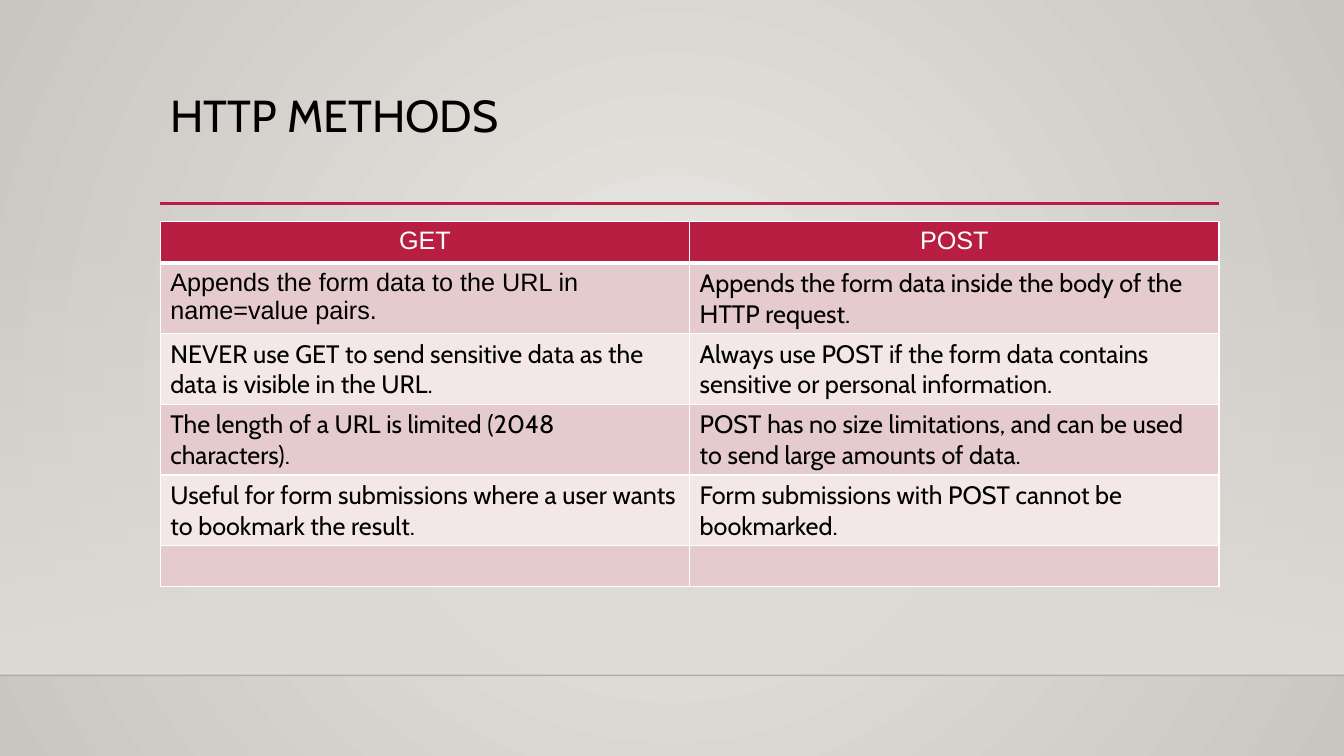
from dataclasses import dataclass

from pptx import Presentation
from pptx.dml.color import RGBColor as Color
from pptx.dml.fill import FillFormat
from pptx.enum.shapes import MSO_CONNECTOR as Connector, MSO_SHAPE as Preset
from pptx.enum.text import MSO_ANCHOR as Anchor, PP_ALIGN as Align
from pptx.oxml import parse_xml
from pptx.oxml.ns import nsdecls, qn
from pptx.slide import Slide
from pptx.table import _Cell as Cell
from pptx.text.text import _Paragraph as Paragraph
from pptx.util import Cm, Pt


@dataclass(frozen=True)
class Theme:
    accent: str = "B71E42"
    band_dark: str = "E5CBCD"
    band_light: str = "F3E7E8"
    ink: str = "000000"
    paper: str = "FFFFFF"
    glow: str = "EBE9E6"
    edge: str = "C9C5C0"
    floor: str = "DFDBD5"
    shelf: str = "000001"
    display: str = "Cabin"
    plain: str = "Arial"
    title_size: float = 32
    body_size: float = 18


@dataclass(frozen=True)
class Rule:
    left: float
    right: float
    top: float
    color: str
    width: float
    opacity: int = 100


@dataclass(frozen=True)
class MethodRow:
    get: str
    post: str
    get_font: str
    post_font: str


THEME = Theme()
WIDTH, HEIGHT = 33.87, 19.05
LEFT, TABLE_TOP, COLUMN, ROW = 4.04, 5.59, 13.34, 1.04
FLOOR_TOP, SHELF_TOP = 5.61, 17.02

RULES = (
    Rule(0, WIDTH, SHELF_TOP, THEME.shelf, 1, 20),
    Rule(LEFT, 30.73, 5.13, THEME.accent, 2.5),
)
ROWS = (
    MethodRow("GET", "POST", THEME.plain, THEME.plain),
    MethodRow("Appends the form data to the URL in name=value pairs.",
              "Appends the form data inside the body of the HTTP request.",
              THEME.plain, THEME.display),
    MethodRow("NEVER use GET to send sensitive data as the data is visible in the URL.",
              "Always use POST if the form data contains sensitive or personal information.",
              THEME.display, THEME.display),
    MethodRow("The length of a URL is limited (2048 characters).",
              "POST has no size limitations, and can be used to send large amounts of data.",
              THEME.display, THEME.display),
    MethodRow("Useful for form submissions where a user wants to bookmark the result.",
              "Form submissions with POST cannot be bookmarked.",
              THEME.display, THEME.display),
    MethodRow("", "", THEME.display, THEME.display),
)


def add_run(paragraph: Paragraph, text: str, font: str, size: float, color: str) -> None:
    """Add one formatted run to a paragraph."""
    run = paragraph.add_run()
    run.text = text
    run.font.name = font
    run.font.size = Pt(size)
    run.font.bold = False
    run.font.color.rgb = Color.from_string(color)


def set_gradient(fill: FillFormat, first: str, last: str) -> None:
    """Give a fill a gradient between two colours."""
    fill.gradient()
    for stop, color, position in zip(fill.gradient_stops, (first, last), (0, 1)):
        stop.color.rgb = Color.from_string(color)
        stop.position = position


def set_opacity(color_element, percent: int) -> None:
    """Make a colour element partly transparent."""
    color_element.append(parse_xml(f'<a:alpha {nsdecls("a")} val="{percent * 1000}"/>'))


def paint_background(slide: Slide) -> None:
    """Paint the round glow behind the slide."""
    set_gradient(slide.background.fill, THEME.glow, THEME.edge)
    linear = next(slide.background._cSld.iter(qn("a:lin")))
    linear.getparent().replace(linear, parse_xml(
        f'<a:path {nsdecls("a")} path="circle">'
        '<a:fillToRect l="50000" t="50000" r="50000" b="50000"/></a:path>'))


def add_floor(slide: Slide) -> None:
    """Add the wash that fades in towards the shelf line."""
    shape = slide.shapes.add_shape(
        Preset.RECTANGLE, Cm(0), Cm(FLOOR_TOP), Cm(WIDTH), Cm(SHELF_TOP - FLOOR_TOP))
    shape.shadow.inherit = False
    shape.line.fill.background()
    set_gradient(shape.fill, THEME.floor, THEME.floor)
    shape.fill.gradient_angle = 270
    set_opacity(next(shape._element.spPr.iter(qn("a:srgbClr"))), 0)


def add_rule(slide: Slide, rule: Rule) -> None:
    """Add one horizontal line."""
    connector = slide.shapes.add_connector(
        Connector.STRAIGHT, Cm(rule.left), Cm(rule.top), Cm(rule.right), Cm(rule.top))
    connector.line.width = Pt(rule.width)
    connector.line.color.rgb = Color.from_string(rule.color)
    properties = connector._element.spPr
    if rule.opacity < 100:
        set_opacity(next(properties.iter(qn("a:srgbClr"))), rule.opacity)
    properties.append(parse_xml(f'<a:effectLst {nsdecls("a")}/>'))


def add_title(slide: Slide, text: str) -> None:
    """Add the slide title."""
    box = slide.shapes.add_textbox(Cm(LEFT), Cm(2.24), Cm(26.67), Cm(2.92))
    box.text_frame.word_wrap = True
    box.text_frame.vertical_anchor = Anchor.TOP
    paragraph = box.text_frame.paragraphs[0]
    paragraph.line_spacing = 0.9
    add_run(paragraph, text, THEME.display, THEME.title_size, THEME.ink)


def set_borders(cell: Cell, top: float, bottom: float) -> None:
    """Draw the four white borders of a cell."""
    properties = cell._tc.get_or_add_tcPr()
    sides = {"lnL": 1, "lnR": 1, "lnT": top, "lnB": bottom}
    for index, (side, width) in enumerate(sides.items()):
        properties.insert(index, parse_xml(
            f'<a:{side} {nsdecls("a")} w="{Pt(width)}"><a:solidFill>'
            f'<a:srgbClr val="{THEME.paper}"/></a:solidFill></a:{side}>'))


def add_methods_table(slide: Slide) -> None:
    """Add the table that compares GET and POST."""
    table = slide.shapes.add_table(
        len(ROWS), 2, Cm(LEFT), Cm(TABLE_TOP), Cm(2 * COLUMN), Cm(len(ROWS) * ROW)).table
    for column in table.columns:
        column.width = Cm(COLUMN)
    for index, row in enumerate(ROWS):
        table.rows[index].height = Cm(ROW)
        header = index == 0
        band = THEME.band_dark if index % 2 else THEME.band_light
        texts = ((row.get, row.get_font), (row.post, row.post_font))
        for cell, (text, font) in zip(table.rows[index].cells, texts):
            cell.fill.solid()
            cell.fill.fore_color.rgb = Color.from_string(THEME.accent if header else band)
            set_borders(cell, 3 if index == 1 else 1, 3 if header else 1)
            paragraph = cell.text_frame.paragraphs[0]
            paragraph.alignment = Align.CENTER if header else Align.LEFT
            if text:
                add_run(paragraph, text, font, THEME.body_size,
                        THEME.paper if header else THEME.ink)


def main() -> None:
    """Build the slide and save it."""
    presentation = Presentation()
    presentation.slide_width, presentation.slide_height = Cm(WIDTH), Cm(HEIGHT)
    slide = presentation.slides.add_slide(presentation.slide_layouts[6])
    paint_background(slide)
    add_floor(slide)
    for rule in RULES:
        add_rule(slide, rule)
    add_title(slide, "HTTP METHODS")
    add_methods_table(slide)
    presentation.save("out.pptx")


if __name__ == "__main__":
    main()
